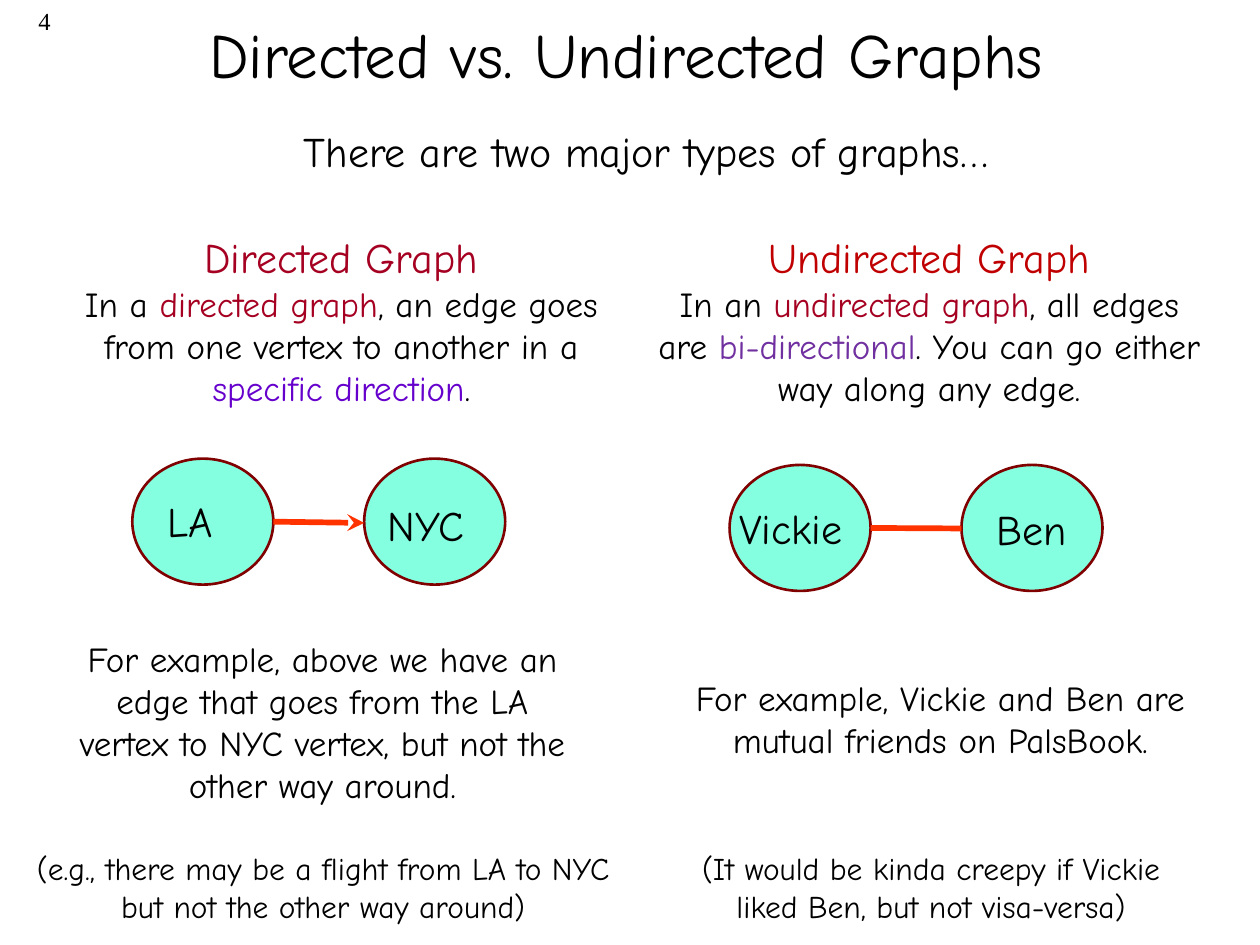
from dataclasses import dataclass

from lxml.etree import SubElement
from pptx import Presentation
from pptx.dml.color import RGBColor
from pptx.enum.shapes import MSO_CONNECTOR as Connector, MSO_SHAPE as Preset
from pptx.enum.text import MSO_ANCHOR as Anchor, PP_ALIGN as Align
from pptx.oxml.ns import qn
from pptx.util import Pt

COLORS = {
    "text": "000000",
    "term": "A50021",
    "heading": "C00000",
    "direction": "6600CC",
    "both_ways": "7030A0",
    "vertex": "84FFE0",
    "outline": "800000",
    "edge": "FF3300",
}
BODY_FONT = "Comic Neue"
NUMBER_FONT = "Times New Roman"
VERTEX_WIDTH, VERTEX_HEIGHT, VERTEX_STEP = 80.6, 72, 132.5


@dataclass
class Run:
    text: str
    color: str = "text"


@dataclass
class Line:
    size: float
    runs: list[Run]


@dataclass
class TextBox:
    left: float
    top: float
    width: float
    height: float
    lines: list[Line]
    align: Align = Align.CENTER
    anchor: Anchor = Anchor.TOP
    font: str = BODY_FONT


@dataclass
class Graph:
    left: float
    top: float
    edge_drop: float
    directed: bool
    labels: list[TextBox]


def plain(size: float, text: str) -> list[Line]:
    return [Line(size, [Run(text)])]


def label(left: float, top: float, width: float, text: str) -> TextBox:
    return TextBox(left, top, width, 36, plain(24, text), Align.LEFT)


def rgb(name: str) -> RGBColor:
    return RGBColor.from_string(COLORS[name])


def draw_text(slide, box: TextBox) -> None:
    shape = slide.shapes.add_textbox(
        Pt(box.left), Pt(box.top), Pt(box.width), Pt(box.height))
    frame = shape.text_frame
    frame.word_wrap = True
    frame.vertical_anchor = box.anchor
    for index, line in enumerate(box.lines):
        paragraph = frame.add_paragraph() if index else frame.paragraphs[0]
        paragraph.alignment = box.align
        for part in line.runs:
            run = paragraph.add_run()
            run.text = part.text
            run.font.name = box.font
            run.font.size = Pt(line.size)
            run.font.color.rgb = rgb(part.color)


def draw_vertex(slide, left: float, top: float) -> None:
    shape = slide.shapes.add_shape(
        Preset.OVAL, Pt(left), Pt(top), Pt(VERTEX_WIDTH), Pt(VERTEX_HEIGHT))
    shape.shadow.inherit = False
    shape.fill.solid()
    shape.fill.fore_color.rgb = rgb("vertex")
    shape.line.color.rgb = rgb("outline")
    shape.line.width = Pt(1.5)


def draw_edge(slide, graph: Graph) -> None:
    middle = graph.top + VERTEX_HEIGHT / 2
    edge = slide.shapes.add_connector(
        Connector.STRAIGHT,
        Pt(graph.left + VERTEX_WIDTH), Pt(middle),
        Pt(graph.left + VERTEX_STEP), Pt(middle + graph.edge_drop))
    edge.line.color.rgb = rgb("edge")
    edge.line.width = Pt(3.25)
    if graph.directed:
        SubElement(edge.line._get_or_add_ln(), qn("a:tailEnd"), type="stealth")
    SubElement(edge._element.spPr, qn("a:effectLst"))


def draw_graph(slide, graph: Graph) -> None:
    for index in range(2):
        draw_vertex(slide, graph.left + index * VERTEX_STEP, graph.top)
    draw_edge(slide, graph)
    for box in graph.labels:
        draw_text(slide, box)


TEXTS = [
    # Slide number, title and introduction
    TextBox(0, 0, 36, 36, plain(14, "4"), Align.RIGHT, font=NUMBER_FONT),
    TextBox(19.4, -14.4, 676.8, 90, plain(36, "Directed vs. Undirected Graphs"),
            anchor=Anchor.MIDDLE),
    TextBox(43.9, 68.4, 650.2, 36,
            plain(24, "There are two major types of graphs…")),
    # Definitions
    TextBox(41, 128.9, 308.2, 108.7, [
        Line(24, [Run("Directed Graph", "term")]),
        Line(20, [
            Run("In a "), Run("directed graph", "term"),
            Run(", an edge goes from one vertex to another in a "),
            Run("specific direction", "direction"), Run("."),
        ]),
    ]),
    TextBox(365.8, 128.9, 330.5, 108.7, [
        Line(24, [Run("Undirected Graph", "heading")]),
        Line(20, [
            Run("In an "), Run("undirected graph", "term"),
            Run(", all edges are "), Run("bi-directional", "both_ways"),
            Run(". You can go either way along any edge."),
        ]),
    ]),
    # Examples
    TextBox(33.1, 360.7, 302.4, 104.4, plain(
        20, "For example, above we have an edge that goes from the LA vertex "
            "to NYC vertex, but not the other way around.")),
    TextBox(375.8, 383, 323.3, 55.4, plain(
        20, "For example, Vickie and Ben are mutual friends on PalsBook.")),
    # Asides
    TextBox(10.8, 481.7, 347.8, 51.1, plain(
        18, "(e.g., there may be a flight from LA to NYC but not the other "
            "way around)")),
    TextBox(375.8, 481.7, 312.5, 51.1, plain(
        18, "(It would be kinda creepy if Vickie liked Ben, but not "
            "visa-versa)")),
]

GRAPHS = [
    Graph(75.6, 262.1, 0.7, True, [
        label(88.6, 279.4, 45.4, "LA"), label(214.6, 282.2, 64.1, "NYC")]),
    Graph(416.9, 265.7, 0.3, False, [
        label(415.4, 283.7, 82.8, "Vickie"), label(562.3, 284.4, 56.2, "Ben")]),
]

presentation = Presentation()
presentation.slide_width = Pt(720)
presentation.slide_height = Pt(540)
slide = presentation.slides.add_slide(presentation.slide_layouts[6])
for text_box in TEXTS:
    draw_text(slide, text_box)
for pair in GRAPHS:
    draw_graph(slide, pair)
presentation.save("out.pptx")
